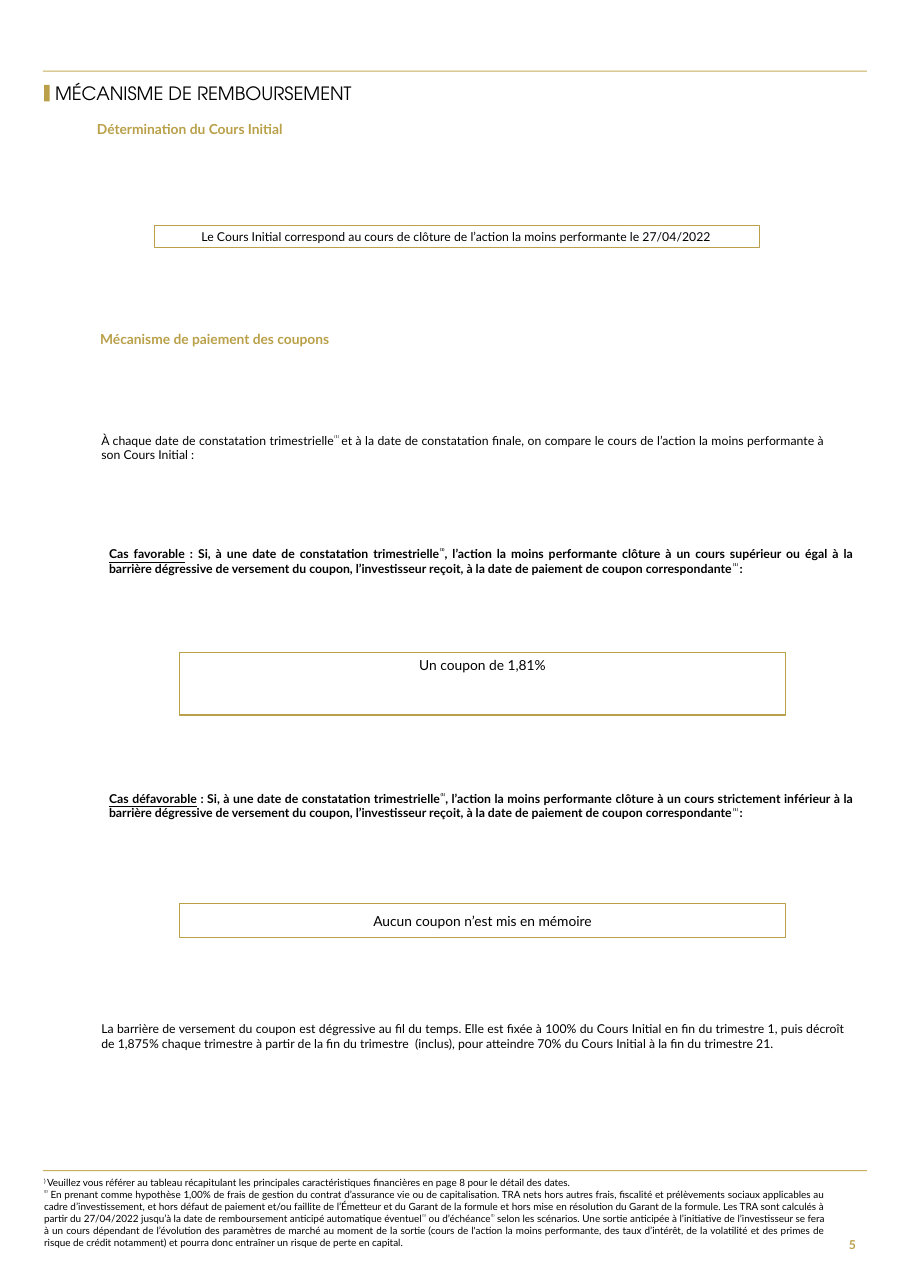
from pptx import Presentation
from pptx.dml.color import RGBColor
from pptx.enum.shapes import MSO_SHAPE
from pptx.enum.text import MSO_ANCHOR as Anchor, MSO_AUTO_SIZE as AutoSize, PP_ALIGN as Align
from pptx.util import Inches, Pt

GOLD = RGBColor(0xB9, 0xA0, 0x49)
RULE_GOLD = RGBColor(0xC5, 0xAF, 0x5C)
BLACK = RGBColor(0x00, 0x00, 0x00)
WHITE = RGBColor(0xFF, 0xFF, 0xFF)
NOTE_1 = ("⁽¹⁾", "superscript")
NOTE_1_SPACED = ("⁽¹⁾ ", "superscript")

presentation = Presentation()
presentation.slide_width = Inches(8.27)
presentation.slide_height = Inches(11.69)
slide = presentation.slides.add_slide(presentation.slide_layouts[5])


def add_rectangle(left, top, width, height, fill=None, line=None, line_width=0.75):
    shape = slide.shapes.add_shape(
        MSO_SHAPE.RECTANGLE, Inches(left), Inches(top), Inches(width), Inches(height))
    shape.shadow.inherit = False
    if fill is None:
        shape.fill.background()
    else:
        shape.fill.solid()
        shape.fill.fore_color.rgb = fill
    if line is None:
        shape.line.fill.background()
    else:
        shape.line.color.rgb = line
        shape.line.width = Pt(line_width)
    return shape


def write(shape, paragraphs, size, align=Align.JUSTIFY, color=BLACK, bold=False,
          font="Lato", anchor=Anchor.TOP, margins=(0, 0, 0, 0), spacing=1.0):
    frame = shape.text_frame
    frame.word_wrap = True
    frame.auto_size = AutoSize.NONE
    frame.vertical_anchor = anchor
    frame.margin_left, frame.margin_top, frame.margin_right, frame.margin_bottom = map(Inches, margins)
    for index, runs in enumerate(paragraphs):
        paragraph = frame.add_paragraph() if index else frame.paragraphs[0]
        paragraph.alignment = align
        paragraph.line_spacing = spacing
        for text, style in runs:
            run = paragraph.add_run()
            run.text = text
            run.font.name = font
            run.font.size = Pt(size)
            run.font.bold = bold
            run.font.color.rgb = color
            if style == "underline":
                run.font.underline = True
            if style == "superscript":
                run._r.get_or_add_rPr().set("baseline", "30000")


for rule_top in (0.64, 10.62):
    add_rectangle(0.39, rule_top, 7.48, 0.01, RULE_GOLD)
add_rectangle(0.4, 0.77, 0.05, 0.15, GOLD)

title = slide.shapes.title
title.left, title.top, title.width, title.height = map(Inches, (0.5, 0.73, 4.21, 0.25))
write(title, [[("MÉCANISME DE REMBOURSEMENT", "")]], 12, Align.LEFT,
      font="TeX Gyre Adventor", anchor=Anchor.MIDDLE, spacing=0.9)

headings = [
    (0.68, 1.1, 3.17, "Détermination du Cours Initial"),
    (0.71, 3, 6.77, "Mécanisme de paiement des coupons"),
]
for left, top, width, text in headings:
    heading = slide.shapes.add_textbox(Inches(left), Inches(top), Inches(width), Inches(0.18))
    write(heading, [[(text, "")]], 9, Align.LEFT, GOLD, True, margins=(0.2, 0, 0, 0))

frames = [
    (1.4, 2.05, 5.49, 0.2, None, 0.5, 8, Anchor.MIDDLE, 0, 1.0,
     "Le Cours Initial correspond au cours de clôture de l’action la moins performante le 27/04/2022"),
    (1.63, 5.92, 5.5, 0.57, WHITE, 0.75, 9, Anchor.TOP, 0.06, 0.9, "Un coupon de 1,81%"),
    (1.63, 8.2, 5.5, 0.31, WHITE, 0.75, 9, Anchor.MIDDLE, 0, 1.0, "Aucun coupon n’est mis en mémoire"),
]
for left, top, width, height, fill, line_width, size, anchor, margin_top, spacing, text in frames:
    box = add_rectangle(left, top, width, height, fill, GOLD, line_width)
    write(box, [[(text, "")]], size, Align.CENTER, anchor=anchor,
          margins=(0.12, margin_top, 0.12, 0), spacing=spacing)

cases = [
    (4.96, "Cas favorable", "supérieur ou égal"),
    (7.18, "Cas défavorable", "strictement inférieur"),
]
for top, name, comparison in cases:
    case = slide.shapes.add_textbox(Inches(0.99), Inches(top), Inches(6.76), Inches(0.27))
    write(case, [[
        (name, "underline"),
        (" : Si, à une date de constatation trimestrielle", ""),
        NOTE_1,
        (f", l’action la moins performante clôture à un cours {comparison} à la barrière dégressive "
         "de versement du coupon, l’investisseur reçoit, à la date de paiement de coupon correspondante", ""),
        NOTE_1_SPACED,
        (": ", ""),
    ]], 8, bold=True)

observation = [
    ("À chaque date de constatation trimestrielle", ""),
    NOTE_1_SPACED,
    ("et à la date de constatation finale, on compare le cours de l’action la moins performante "
     "à son Cours Initial :", ""),
]
barrier = [
    ("La barrière de versement du coupon est dégressive au fil du temps. Elle est fixée à 100% du Cours "
     "Initial en fin du trimestre 1, puis décroît de 1,875% chaque trimestre à partir de la fin du "
     "trimestre  (inclus), pour atteindre 70% du Cours Initial à la fin du trimestre 21.", ""),
]
for top, width, runs in ((3.93, 6.57, observation), (9.27, 6.76, barrier)):
    body = slide.shapes.add_textbox(Inches(0.92), Inches(top), Inches(width), Inches(0.27))
    write(body, [runs], 8)

footnotes = [
    [
        (") ", "superscript"),
        ("Veuillez vous référer au tableau récapitulant les principales caractéristiques financières "
         "en page 8 pour le détail des dates. ", ""),
    ],
    [
        ("⁽²⁾", "superscript"),
        (" En prenant comme hypothèse 1,00% de frais de gestion du contrat d’assurance vie ou de "
         "capitalisation. TRA nets hors autres frais, fiscalité et prélèvements sociaux applicables au "
         "cadre d’investissement, et hors défaut de paiement et/ou faillite de l’Émetteur et du Garant "
         "de la formule et hors mise en résolution du Garant de la formule. Les TRA sont calculés à "
         "partir du 27/04/2022 jusqu’à la date de remboursement anticipé automatique éventuel", ""),
        NOTE_1,
        (" ou d’échéance", ""),
        NOTE_1,
        (" selon les scénarios. Une sortie anticipée à l’initiative de l’investisseur se fera à un cours "
         "dépendant de l’évolution des paramètres de marché au moment de la sortie (cours de l'action la "
         "moins performante, des taux d’intérêt, de la volatilité et des primes de risque de crédit "
         "notamment) et pourra donc entraîner un risque de perte en capital.", ""),
    ],
]
footer = slide.shapes.add_textbox(Inches(0.4), Inches(10.68), Inches(7.09), Inches(0.66))
write(footer, footnotes, 6.5)

page_number = slide.shapes.add_textbox(Inches(7.48), Inches(11.09), Inches(0.39), Inches(0.42))
write(page_number, [[("5", "")]], 8, Align.RIGHT, GOLD, True,
      anchor=Anchor.MIDDLE, margins=(0.1, 0.05, 0.1, 0.05))

presentation.save("out.pptx")
